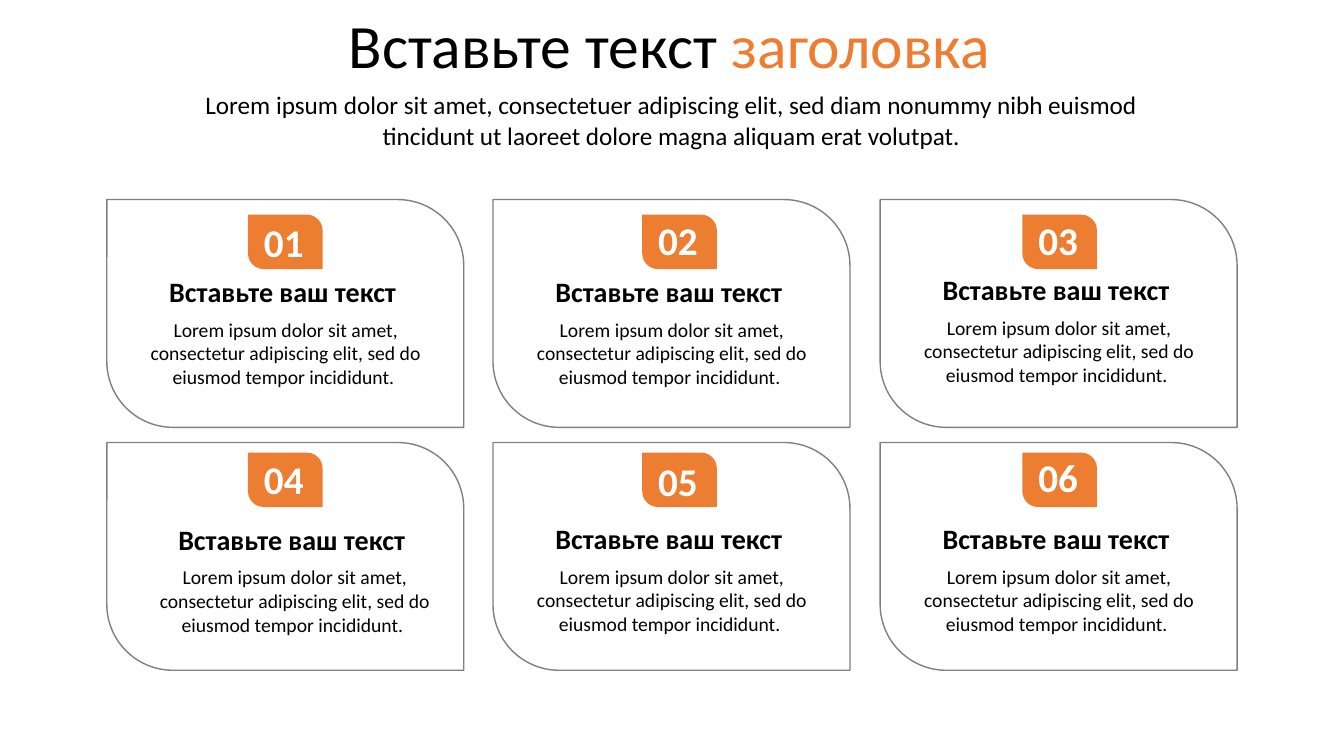
from pptx import Presentation
from pptx.dml.color import RGBColor
from pptx.enum.shapes import MSO_SHAPE as Shape
from pptx.enum.text import MSO_AUTO_SIZE as AutoSize, PP_ALIGN as Align
from pptx.util import Pt

TITLE = ("Вставьте текст ", "заголовка")
SUBTITLE = (
    "Lorem ipsum dolor sit amet, consectetuer adipiscing elit, sed diam nonummy "
    "nibh euismod tincidunt ut laoreet dolore magna aliquam erat volutpat."
)
HEADING = "Вставьте ваш текст "
BODY = (
    "Lorem ipsum dolor sit amet, consectetur adipiscing elit, "
    "sed do eiusmod tempor incididunt. "
)
CARDS = [
    {"number": "01", "number_top": 212, "heading_top": 267, "shift": 0},
    {"number": "02", "number_top": 210, "heading_top": 267, "shift": 0},
    {"number": "03", "number_top": 210, "heading_top": 265, "shift": 0},
    {"number": "04", "number_top": 447, "heading_top": 513, "shift": 9},
    {"number": "05", "number_top": 449, "heading_top": 512, "shift": 0},
    {"number": "06", "number_top": 445, "heading_top": 512, "shift": 0},
]

BLACK = RGBColor(0x00, 0x00, 0x00)
WHITE = RGBColor(0xFF, 0xFF, 0xFF)
GRAY = RGBColor(0x80, 0x80, 0x80)
ORANGE = RGBColor(0xED, 0x7D, 0x31)

FONT = "Calibri"
PX = 9144
COLUMNS = 3
GRID_LEFT, GRID_TOP = 106, 198
GRID_WIDTH = 1121
CARD_WIDTH, CARD_HEIGHT = 354, 226
ROW_PITCH = 241
BADGE_LEFTS = (246, 637, 1014)
BADGE_TOPS = (213, 449)


def emu(*lengths):
    return [length * PX for length in lengths]


def add_leaf(slide, box, fill=None, line=None):
    leaf = slide.shapes.add_shape(Shape.ROUND_2_DIAG_RECTANGLE, *emu(*box))
    leaf.adjustments[0] = 0
    leaf.adjustments[1] = 0.29
    leaf.shadow.inherit = False
    if fill is None:
        leaf.fill.background()
    else:
        leaf.fill.solid()
        leaf.fill.fore_color.rgb = fill
    if line is None:
        leaf.line.fill.background()
    else:
        leaf.line.color.rgb = line
        leaf.line.width = Pt(1)


def add_label(slide, box, pieces, size, bold=False, wrap=True):
    frame = slide.shapes.add_textbox(*emu(*box)).text_frame
    frame.word_wrap = wrap
    frame.auto_size = AutoSize.SHAPE_TO_FIT_TEXT
    paragraph = frame.paragraphs[0]
    paragraph.alignment = Align.CENTER if wrap else Align.LEFT
    for text, color in pieces:
        run = paragraph.add_run()
        run.text = text
        run.font.name = FONT
        run.font.size = Pt(size)
        run.font.bold = bold
        run.font.color.rgb = color


def add_card(slide, index, card):
    row, column = divmod(index, COLUMNS)
    left = GRID_LEFT + column * (GRID_WIDTH - CARD_WIDTH) // (COLUMNS - 1)
    top = GRID_TOP + row * ROW_PITCH
    badge_left = BADGE_LEFTS[column]
    heading_left = left + 36 + card["shift"]
    heading_top = card["heading_top"]

    add_leaf(slide, (left, top, CARD_WIDTH, CARD_HEIGHT), line=GRAY)
    add_leaf(slide, (badge_left, BADGE_TOPS[row], 74, 54), fill=ORANGE)
    add_label(slide, (badge_left + 6, card["number_top"], 60, 57),
              [(card["number"], WHITE)], 28, bold=True, wrap=False)
    add_label(slide, (heading_left, heading_top, 283, 44),
              [(HEADING, BLACK)], 20, bold=True)
    add_label(slide, (heading_left - 10, heading_top + 43, 303, 81),
              [(BODY, BLACK)], 14)


def main():
    deck = Presentation()
    deck.slide_width, deck.slide_height = emu(1333, 750)
    slide = deck.slides.add_slide(deck.slide_layouts[6])
    for index, card in enumerate(CARDS):
        add_card(slide, index, card)
    add_label(slide, (336, 2, 662, 84), zip(TITLE, (BLACK, ORANGE)), 44, wrap=False)
    add_label(slide, (158, 84, 1016, 71), [(SUBTITLE, BLACK)], 18)
    deck.save("out.pptx")


if __name__ == "__main__":
    main()
